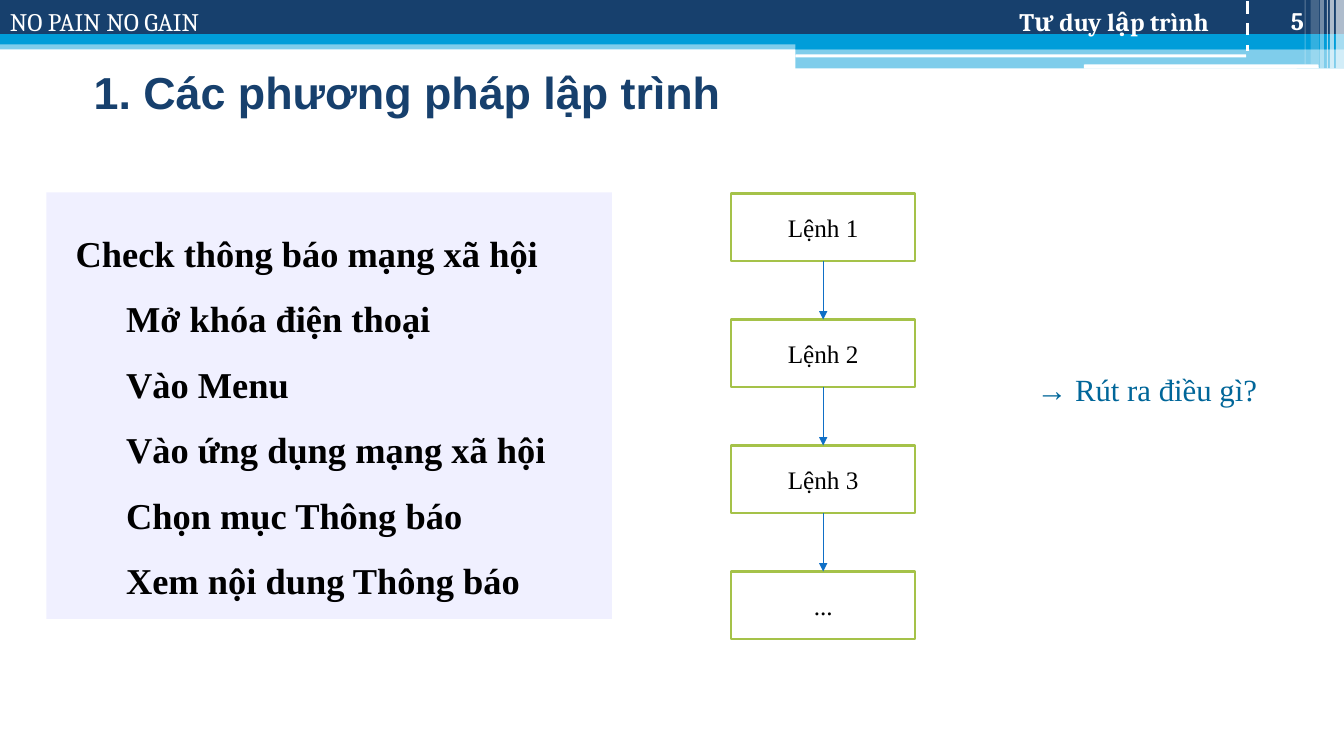
from lxml import etree
from pptx import Presentation
from pptx.dml.color import RGBColor
from pptx.enum.dml import MSO_LINE
from pptx.enum.shapes import MSO_CONNECTOR, MSO_SHAPE
from pptx.enum.text import MSO_ANCHOR, PP_ALIGN
from pptx.oxml.ns import qn
from pptx.util import Inches, Pt

RECT, ROUNDED = MSO_SHAPE.RECTANGLE, MSO_SHAPE.ROUNDED_RECTANGLE
STRAIGHT, DASH = MSO_CONNECTOR.STRAIGHT, MSO_LINE.DASH
TOP, MIDDLE, BOTTOM = MSO_ANCHOR.TOP, MSO_ANCHOR.MIDDLE, MSO_ANCHOR.BOTTOM
LEFT, CENTER, RIGHT = PP_ALIGN.LEFT, PP_ALIGN.CENTER, PP_ALIGN.RIGHT

NAVY = RGBColor(0x17, 0x40, 0x6D)
SKY = RGBColor(0x00, 0x9D, 0xD9)
WHITE = RGBColor(0xFF, 0xFF, 0xFF)
BLACK = RGBColor(0x00, 0x00, 0x00)
LAVENDER = RGBColor(0xF0, 0xF0, 0xFF)
GREEN = RGBColor(0xA5, 0xC2, 0x49)
BLUE = RGBColor(0x0F, 0x6F, 0xC6)
TEAL = RGBColor(0x00, 0x66, 0x99)
HEADER_FONT, TITLE_FONT, BODY_FONT = "Cambria", "Arial", "Times New Roman"

# Content
MOTTO = "NO PAIN NO GAIN"
COURSE = "Tư duy lập trình"
PAGE_NUMBER = "5"
TITLE = "1. Các phương pháp lập trình"
TASK = [
    (0, "Check thông báo mạng xã hội"),
    (1, "Mở khóa điện thoại"),
    (1, "Vào Menu"),
    (1, "Vào ứng dụng mạng xã hội"),
    (1, "Chọn mục Thông báo"),
    (1, "Xem nội dung Thông báo"),
]
COMMANDS = ["Lệnh 1", "Lệnh 2", "Lệnh 3", "..."]
QUESTION = "→ Rút ra điều gì?"

# Layout in inches
WIDTH, HEIGHT = 13.33, 7.5
SPLIT = 7.89
BANDS = [  # left, top, height, colour, opacity; each runs to the right edge
    (0, 0.4, 0.09, SKY, 50),
    (0, 0, 0.34, NAVY, 100),
    (0, 0.34, 0.1, SKY, 100),
    (SPLIT, 0.39, 0.1, SKY, 100),
    (SPLIT, 0.48, 0.2, SKY, 50),
]
SLITS = [(SPLIT, 0.54, 4.47, 0.03), (10.75, 0.64, 2.33, 0.04)]
STRIPES = [  # left, width, height, opacity
    (13.25, 0.08, 0.68, 65),
    (13.19, 0.04, 0.68, 65),
    (13.16, 0.01, 0.68, 60),
    (13.09, 0.04, 0.68, 40),
    (13, 0.08, 0.64, 20),
    (12.94, 0.01, 0.64, 30),
]
FLOW_LEFT, FLOW_TOP, FLOW_STEP = 7.25, 1.92, 1.25
STEP_WIDTH, STEP_HEIGHT = 1.83, 0.67

deck = Presentation()
deck.slide_width, deck.slide_height = Inches(WIDTH), Inches(HEIGHT)
page = deck.slides.add_slide(deck.slide_layouts[6])


def add_block(place, color, opacity=100, kind=RECT, outline=None):
    block = page.shapes.add_shape(kind, *map(Inches, place))
    block.shadow.inherit = False
    block.fill.solid()
    block.fill.fore_color.rgb = color
    if opacity < 100:
        tint = block.element.spPr.find(".//" + qn("a:srgbClr"))
        etree.SubElement(tint, qn("a:alpha"), val=str(opacity * 1000))
    if outline is None:
        block.line.fill.background()
    else:
        block.line.color.rgb = outline
        block.line.width = Pt(1.5)
    return block


def write(box, lines, font, size, color, bold=False, align=LEFT, anchor=TOP,
          insets=(0.1, 0.05, 0.1, 0.05), spacing=None):
    frame = box.text_frame
    frame.word_wrap = True
    frame.vertical_anchor = anchor
    (frame.margin_left, frame.margin_top,
     frame.margin_right, frame.margin_bottom) = map(Inches, insets)
    for index, (level, text) in enumerate(lines):
        para = frame.add_paragraph() if index else frame.paragraphs[0]
        para.alignment = align
        if level:
            para.level = level
            properties = para._p.get_or_add_pPr()
            properties.set("marL", str(Inches(0.5 * level)))
            properties.set("indent", "0")
        if spacing:
            para.line_spacing = spacing
        span = para.add_run()
        span.text = text
        span.font.name, span.font.size = font, Pt(size)
        span.font.bold, span.font.color.rgb = bold, color


def add_label(place, text, *style, **options):
    box = page.shapes.add_textbox(*map(Inches, place))
    write(box, [(0, text)], *style, **options)


def add_line(start, end, color, width):
    line = page.shapes.add_connector(STRAIGHT, *map(Inches, start + end))
    line.line.color.rgb = color
    line.line.width = Pt(width)
    etree.SubElement(line.element.spPr, qn("a:effectLst"))
    return line


# Header bands
for left, top, height, color, opacity in BANDS:
    add_block((left, top, WIDTH - left, height), color, opacity)
for place in SLITS:
    add_block(place, WHITE, kind=ROUNDED)
for left, width, height, opacity in STRIPES:
    add_block((left, 0, width, height), WHITE, opacity)

# Header text and divider
add_label((0, 0.01, 3.56, 0.4), MOTTO, HEADER_FONT, 18, WHITE)
add_label((5.78, 0.01, 6.48, 0.4), COURSE, HEADER_FONT, 18, WHITE, bold=True,
          align=RIGHT, anchor=BOTTOM, insets=(0.1, 0.05, 0.27, 0.05))
add_line((12.37, 0.01), (12.37, 0.51), WHITE, 2.25).line.dash_style = DASH
add_label((12.22, 0, 0.81, 0.4), PAGE_NUMBER, HEADER_FONT, 18, WHITE,
          bold=True, align=RIGHT, anchor=BOTTOM)

# Title
add_label((0.83, 0.48, 11.58, 0.86), TITLE, TITLE_FONT, 32, NAVY,
          bold=True, anchor=MIDDLE)

# Task panel
panel = add_block((0.46, 1.91, 5.61, 4.23), LAVENDER)
write(panel, TASK, BODY_FONT, 26, BLACK, bold=True, anchor=MIDDLE,
      insets=(0.29, 0.15, 0, 0.15), spacing=1.5)

# Command flow
steps = []
for row, command in enumerate(COMMANDS):
    place = (FLOW_LEFT, FLOW_TOP + row * FLOW_STEP, STEP_WIDTH, STEP_HEIGHT)
    step = add_block(place, WHITE, outline=GREEN)
    write(step, [(0, command)], BODY_FONT, 18, BLACK, align=CENTER, anchor=MIDDLE)
    steps.append(step)
for upper, lower in zip(steps, steps[1:]):
    arrow = add_line((0, 0), (0, 0), BLUE, 0.75)
    arrow.begin_connect(upper, 2)
    arrow.end_connect(lower, 0)
    etree.SubElement(arrow.line._get_or_add_ln(), qn("a:tailEnd"), type="triangle")

# Question
add_label((9.96, 3.55, 2.83, 0.62), QUESTION, BODY_FONT, 22, TEAL,
          align=CENTER, insets=(0.13,) * 4)

deck.save("out.pptx")
